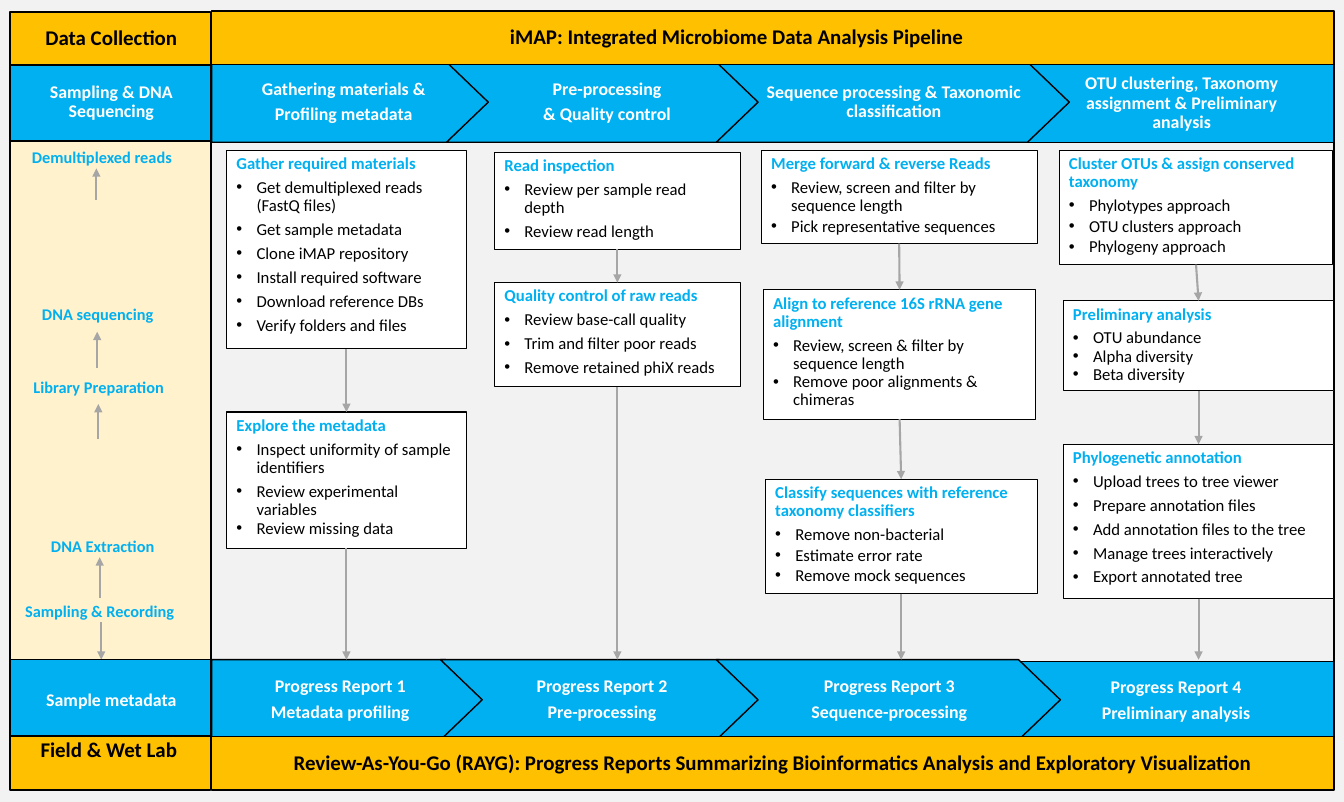
from lxml import etree
from pptx import Presentation
from pptx.dml.color import RGBColor
from pptx.enum.shapes import MSO_CONNECTOR, MSO_SHAPE
from pptx.enum.text import MSO_ANCHOR, PP_ALIGN
from pptx.oxml.ns import qn
from pptx.util import Pt

RECTANGLE, PENTAGON = MSO_SHAPE.RECTANGLE, MSO_SHAPE.PENTAGON
STRAIGHT = MSO_CONNECTOR.STRAIGHT
TOP, MIDDLE = MSO_ANCHOR.TOP, MSO_ANCHOR.MIDDLE
LEFT, CENTER = PP_ALIGN.LEFT, PP_ALIGN.CENTER

COLORS = {
    "background": "F2F2F2", "panel": "FFF2CC", "blue": "00B0F0", "gold": "FFC000",
    "white": "FFFFFF", "black": "000000", "arrow": "A6A6A6",
}
FONT = "Calibri"
CARD_INSETS = (7.2, 3.6, 7.2, 3.6)
CELL_INSETS = (20.9, 0.7, 19.4, 0.7)
POINT_DEPTH = 30
WIDE, NARROW, TIGHT, NONE = (4.2,), (1.8,), (0.6,), (0,)

HEADER_STAGES = [
    (0, 203, ["Gathering materials &", "Profiling metadata"]),
    (168.5, 229, ["Pre-processing", "& Quality control"]),
    (362.2, 253.4, ["Sequence processing & Taxonomic classification"]),
    (585.4, 220.2, ["OTU clustering, Taxonomy assignment & Preliminary analysis"]),
]
REPORT_STAGES = [
    (0, 198, ["Progress Report 1", "Metadata profiling"]),
    (164.2, 230.4, ["Progress Report 2", "Pre-processing"]),
    (362.2, 247, ["Progress Report 3", "Sequence-processing"]),
    (577.4, 228.2, ["Progress Report 4", "Preliminary analysis"]),
]
CARD_COLUMNS = [
    [
        ((10.7, 6, 172, 142.6), "Gather required materials", WIDE,
         ["Get demultiplexed reads (FastQ files)", "Get sample metadata",
          "Clone iMAP repository", "Install required software",
          "Download reference DBs", "Verify folders and files"]),
        ((10.7, 193.9, 172, 98), "Explore the metadata", WIDE + TIGHT,
         ["Inspect uniformity of sample identifiers",
          "Review experimental variables", "Review missing data"]),
    ],
    [
        ((203, 7.4, 176.4, 69.8), "Read inspection", WIDE,
         ["Review per sample read depth", "Review read length"]),
        ((203, 101, 176.4, 74.9), "Quality control of raw reads", WIDE,
         ["Review base-call quality", "Trim and filter poor reads",
          "Remove retained phiX reads"]),
    ],
    [
        ((394.5, 6, 198, 67), "Merge forward & reverse Reads", NARROW,
         ["Review, screen and filter by sequence length",
          "Pick representative sequences"]),
        ((395.9, 106.1, 195.8, 92.9), "Align to reference 16S rRNA gene alignment", TIGHT,
         ["Review, screen & filter by sequence length",
          "Remove poor alignments & chimeras"]),
        ((397.4, 242.2, 195.1, 82.1),
         "Classify sequences with reference taxonomy classifiers", NARROW,
         ["Remove non-bacterial", "Estimate error rate", "Remove mock sequences"]),
    ],
    [
        ((608.3, 6, 196.6, 82.1), "Cluster OTUs & assign conserved taxonomy", NARROW,
         ["Phylotypes approach", "OTU clusters approach", "Phylogeny approach"]),
        ((611.2, 114, 194.4, 64.8), "Preliminary analysis", NONE,
         ["OTU abundance", "Alpha diversity", "Beta diversity"]),
        ((611.2, 217, 194.4, 110.9), "Phylogenetic annotation", WIDE,
         ["Upload trees to tree viewer", "Prepare annotation files",
          "Add annotation files to the tree", "Manage trees interactively",
          "Export annotated tree"]),
    ],
]
LAB_STEPS = [
    ("Demultiplexed reads", 66, 57.7, 62, 97.3, 75),
    ("DNA sequencing", 63, 170.7, 62.6, 218.2, 192.3),
    ("Library Preparation", 63.7, 223.3, 63.4, 269.4, 244.2),
    ("DNA Extraction", 66.6, 337, 64.4, 383.8, 354.3),
    ("Sampling & Recording", 64.4, 383.8, 65.5, 401.1, 427.8),
]


def color(name):
    return RGBColor.from_string(COLORS[name])


def points(values):
    return [Pt(value) for value in values]


def write_text(frame, text, size=12, ink="black", bold=False, align=LEFT, after=4.2, bullet=False):
    paragraph = frame.paragraphs[0]
    if paragraph.text:
        paragraph = frame.add_paragraph()
    paragraph.text = text
    paragraph.alignment = align
    paragraph.line_spacing = 0.9
    paragraph.space_after = Pt(after)
    if bullet:
        properties = paragraph._p.get_or_add_pPr()
        properties.set("marL", str(Pt(14.4)))
        properties.set("indent", str(-Pt(14.4)))
        etree.SubElement(properties, qn("a:buFont")).set("typeface", "Arial")
        etree.SubElement(properties, qn("a:buChar")).set("char", "•")
    font = paragraph.font
    font.name, font.size, font.bold = FONT, Pt(size), bold
    font.color.rgb = color(ink)


def set_frame(shape, insets, anchor):
    frame = shape.text_frame
    frame.word_wrap = True
    frame.vertical_anchor = anchor
    (frame.margin_left, frame.margin_top,
     frame.margin_right, frame.margin_bottom) = points(insets)
    return frame


def paint(shape, fill, width=1):
    shape.shadow.inherit = False
    if fill:
        shape.fill.solid()
        shape.fill.fore_color.rgb = color(fill)
    else:
        shape.fill.background()
    shape.line.color.rgb = color("black")
    shape.line.width = Pt(width)
    return shape


def add_box(slide, box, fill, kind=RECTANGLE, width=1):
    return paint(slide.shapes.add_shape(kind, *points(box)), fill, width)


def add_arrow(slide, start, end, source=None, target=None):
    connector = slide.shapes.add_connector(STRAIGHT, *points(start + end))
    if source:
        connector.begin_connect(source, 2)
    if target:
        connector.end_connect(target, 0)
    connector.line.color.rgb = color("arrow")
    connector.line.width = Pt(1.5)
    line = connector.line._get_or_add_ln()
    etree.SubElement(line, qn("a:tailEnd")).set("type", "triangle")
    etree.SubElement(connector._element.spPr, qn("a:effectLst"))


def add_cell(slide, box, lines, fill="blue", size=12.8, ink="white", insets=CELL_INSETS, shape=None):
    shape = shape or add_box(slide, box, fill)
    frame = set_frame(shape, insets, MIDDLE)
    for line in lines:
        write_text(frame, line, size=size, ink=ink, bold=True, align=CENTER, after=4.5)


def add_title(slide, box, text, insets=CELL_INSETS):
    add_cell(slide, box, [text], fill="gold", size=15, ink="black", insets=insets)


def add_chevron(slide, box):
    left, top, width, height = box
    right, middle, bottom = left + width, top + height / 2, top + height
    builder = slide.shapes.build_freeform(Pt(left), Pt(top))
    builder.add_line_segments([points(vertex) for vertex in (
        (right - POINT_DEPTH, top), (right, middle), (right - POINT_DEPTH, bottom),
        (left, bottom), (left + POINT_DEPTH, middle))])
    return paint(builder.convert_to_shape(), "blue")


def add_stage_row(slide, box, stages):
    left, top, _, height = box
    first, *middle, last = stages
    x, width, lines = last
    add_cell(slide, (left + x, top + 1.5, width, height - 1.5), lines)
    x, width, lines = first
    plate = add_box(slide, (left + x, top, width, height), "blue", PENTAGON)
    plate.adjustments[0] = POINT_DEPTH / height
    add_cell(slide, box, lines, shape=plate)
    for x, width, lines in middle:
        chevron = add_chevron(slide, (left + x, top, width, height))
        add_cell(slide, box, lines, shape=chevron)


def add_card(slide, box, title, gaps, items):
    card = add_box(slide, box, "white", width=0.75)
    frame = set_frame(card, CARD_INSETS, TOP)
    write_text(frame, title, ink="blue", bold=True)
    for index, item in enumerate(items):
        write_text(frame, item, after=gaps[min(index, len(gaps) - 1)], bullet=True)
    return card


def add_card_columns(slide, box, columns):
    left, top, _, height = box
    for column in columns:
        cards = [add_card(slide, (left + x, top + y, w, h), *content)
                 for (x, y, w, h), *content in column]
        for upper, lower in zip(cards, cards[1:]):
            add_arrow(slide, (0, 0), (0, 0), upper, lower)
        x, _, w, _ = column[-1][0]
        add_arrow(slide, (0, 0), (left + x + w / 2, top + height), cards[-1])


def add_lab_panel(slide, box):
    left, top, width, _ = box
    add_box(slide, box, "panel")
    for text, center, y, arrow_x, start, end in LAB_STEPS:
        label = slide.shapes.add_textbox(
            *points((left + center - width / 2, top + y, width, 20)))
        write_text(set_frame(label, CARD_INSETS, TOP), text, size=11.7,
                   ink="blue", bold=True, align=CENTER)
        x = left + arrow_x
        add_arrow(slide, (x, top + start), (x, top + end))


def main():
    presentation = Presentation()
    presentation.slide_width, presentation.slide_height = Pt(964.8), Pt(576)
    slide = presentation.slides.add_slide(presentation.slide_layouts[6])
    slide.background.fill.solid()
    slide.background.fill.fore_color.rgb = color("background")

    lab_left, lab_width, main_left, main_width = 7.2, 144, 152, 805.6
    add_lab_panel(slide, (lab_left, 46, lab_width, 487.4))
    add_box(slide, (main_left, 44.6, main_width, 487.4), None)
    add_stage_row(slide, (main_left, 473.8, main_width, 57.6), REPORT_STAGES)
    add_stage_row(slide, (main_left, 44.6, main_width, 57.6), HEADER_STAGES)
    add_card_columns(slide, (main_left, 102, main_width, 371.8), CARD_COLUMNS)
    add_cell(slide, (lab_left, 473.8, lab_width, 58.3), ["Sample metadata"])
    add_cell(slide, (lab_left, 46, lab_width, 55.4), ["Sampling & DNA Sequencing"])
    add_title(slide, (lab_left, 8.6, lab_width, 38.2), "Data Collection")
    add_title(slide, (lab_left, 528.5, lab_width, 38.9), "Field & Wet Lab",
              (19.4, 0.7, 21.4, 18))
    add_title(slide, (main_left, 8, main_width, 38.2),
              "iMAP: Integrated Microbiome Data Analysis Pipeline", (2.9, 2.9, 54.7, 2.9))
    add_title(slide, (main_left, 529.2, main_width, 38.2),
              "Review-As-You-Go (RAYG): Progress Reports Summarizing Bioinformatics "
              "Analysis and Exploratory Visualization", (2.9, 2.9, 2.9, 2.9))
    presentation.save("out.pptx")


if __name__ == "__main__":
    main()
